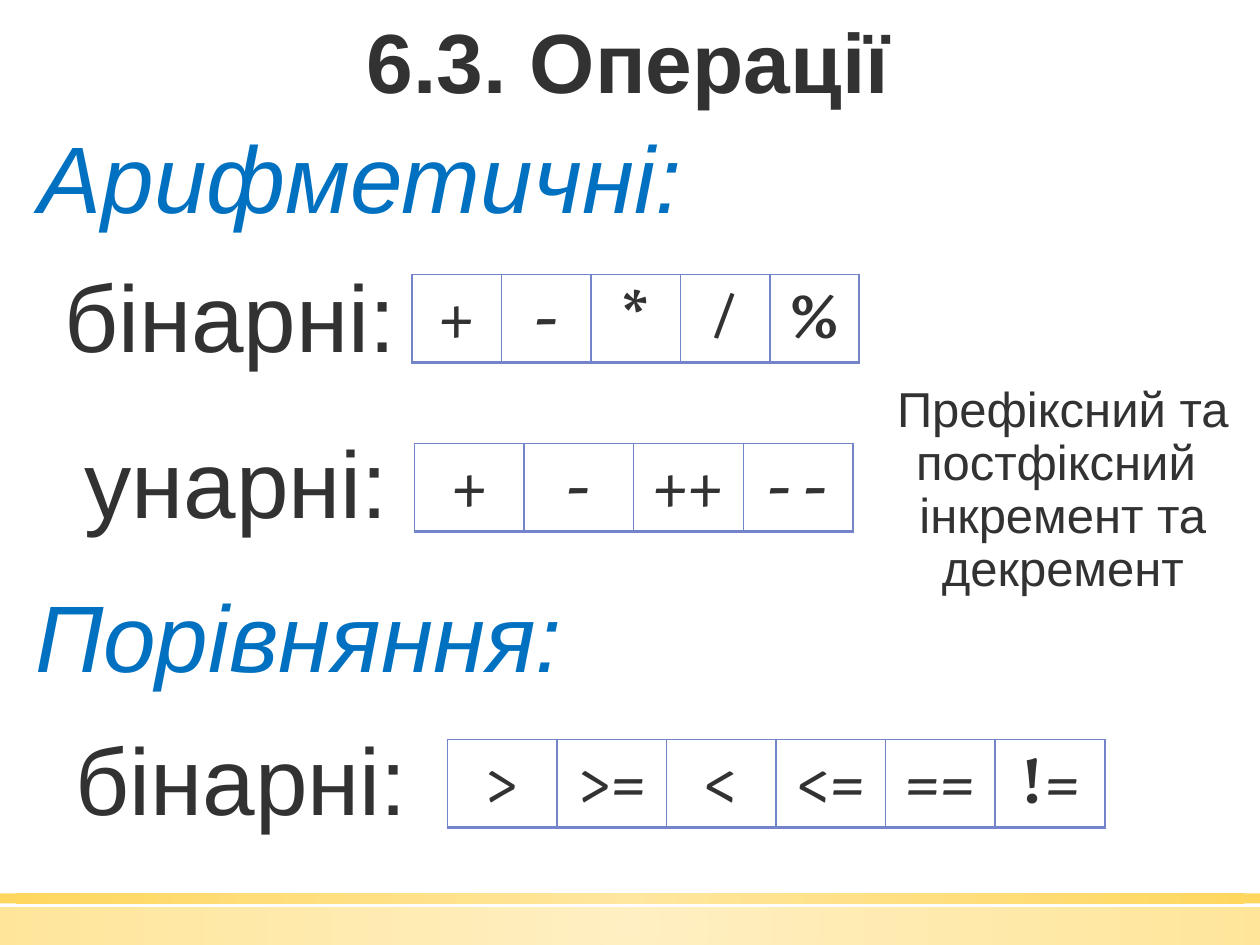
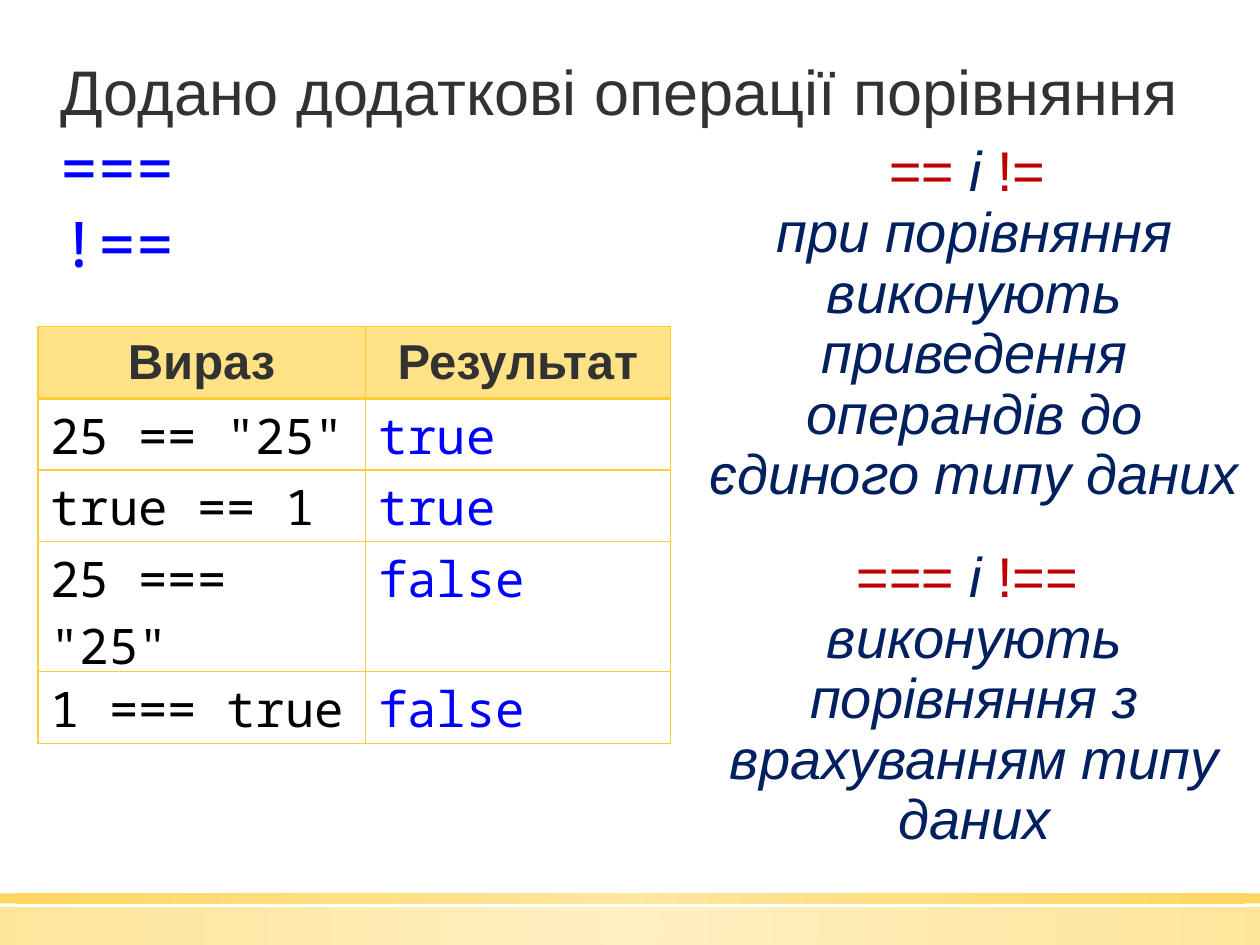
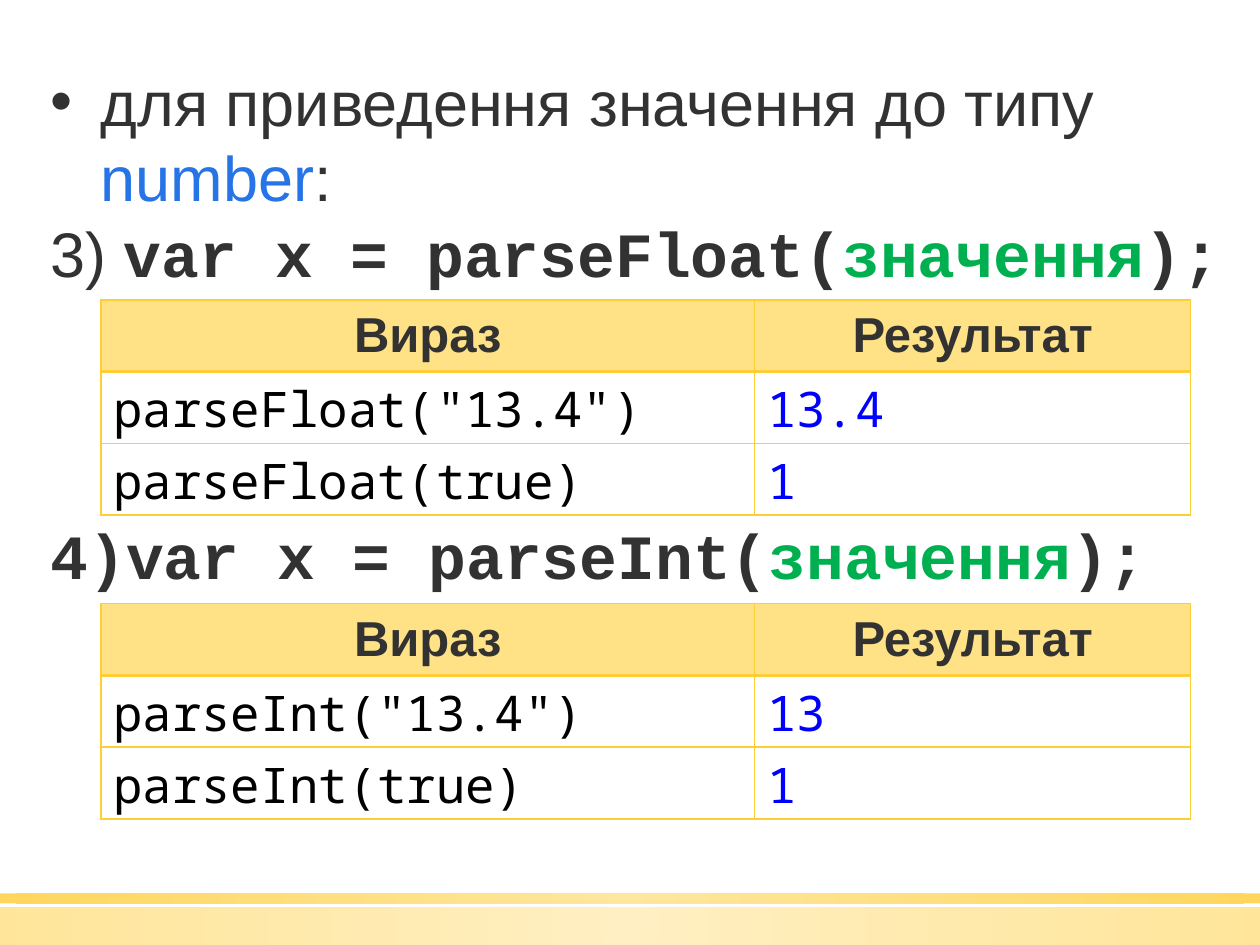
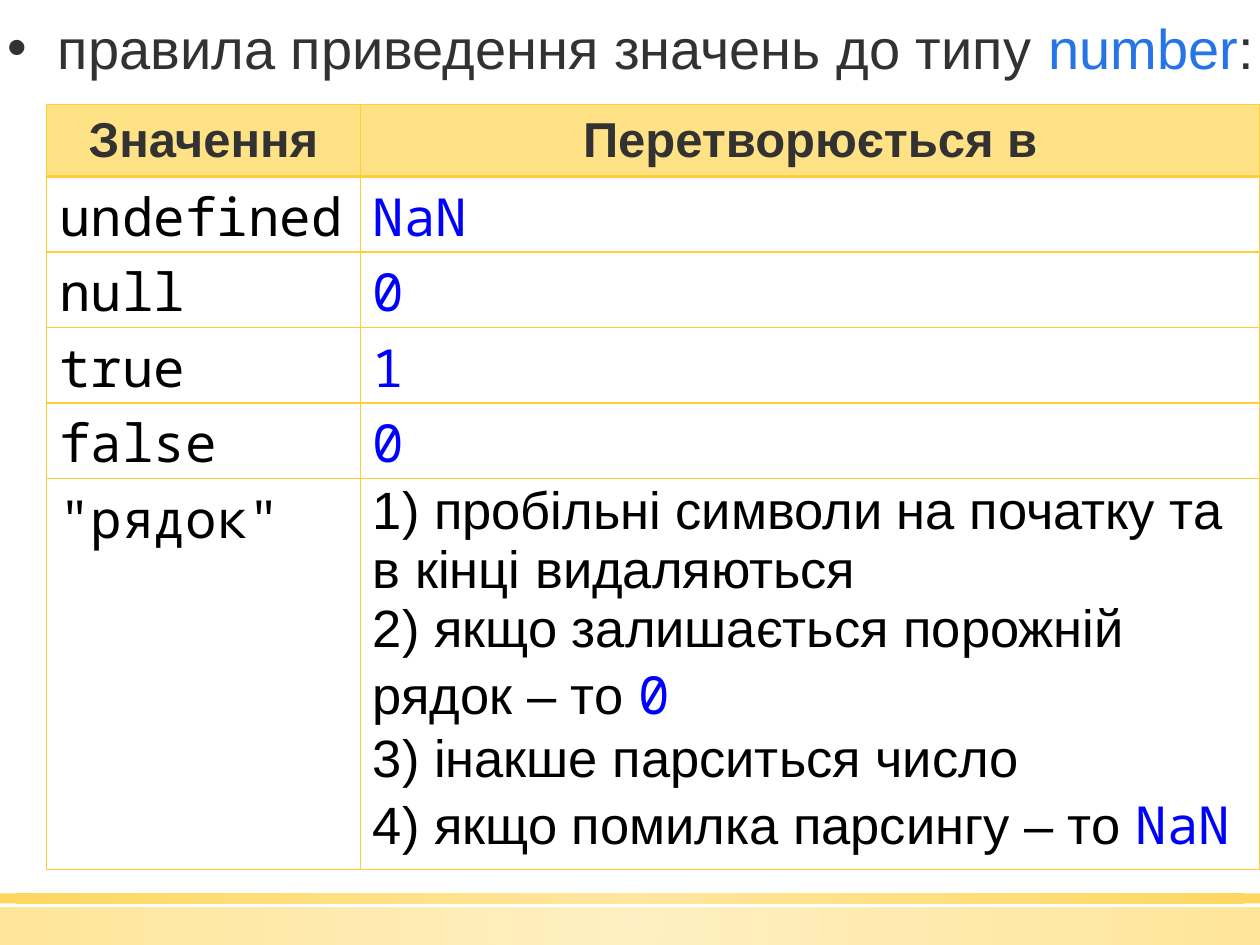
import pptx
import pptx.dml.color
import pptx.enum.shapes
import pptx.enum.text
import pptx.oxml
import pptx.oxml.ns
import pptx.util

Inches = pptx.util.Inches
Pt = pptx.util.Pt
ALIGN = pptx.enum.text.PP_ALIGN

COLOURS = {
    "ink": "323232", "black": "000000", "white": "FFFFFF", "heading": "0070C0",
    "value": "0000FF", "type": "2674E6", "argument": "00B050",
    "operator": "C00000", "note": "002060",
    "gold": "FFCD36", "pale gold": "FFE186", "grid": "7384CA",
}

# Run styles: font, colour, bold, italic
STYLES = {
    "text": ("Arial", "ink", False, False),
    "title": ("Arial", "ink", True, False),
    "heading": ("Arial", "heading", False, True),
    "type": ("Arial", "type", False, False),
    "code": ("Courier New", "ink", True, False),
    "argument": ("Courier New", "argument", True, False),
    "operator": ("Arial", "operator", False, True),
    "upright operator": ("Arial", "operator", False, False),
    "note": ("Arial", "note", False, True),
    "symbol": ("Vollkorn", "ink", True, False),
    "plain": ("Arial", "black", False, False),
    "expression": ("Noto Sans Mono", "black", False, False),
    "value": ("Noto Sans Mono", "value", False, False),
}

# Bands at the foot: top, height, opacity in percent
BANDS = [(7.2, 0.3, 50), (7.09, 0.08, 80)]

# Slide 1: labels (text, style, left, top, width) and operator rows
TITLE = "6.3. Операції"
LABELS = [
    ("Арифметичні:", "heading", 0.21, 1.07, 5.74),
    ("бінарні:", "text", 0.41, 2.17, 2.98),
    ("унарні:", "text", 0.57, 3.49, 2.98),
    ("Порівняння:", "heading", 0.18, 4.71, 5.74),
    ("бінарні:", "text", 0.5, 5.85, 2.98),
]
OPERATORS = [  # left, top, column width, symbols
    (3.27, 2.18, 0.71, ["+", "-", "*", "/", "%"]),
    (3.29, 3.52, 0.87, ["+", "-", "++", "- -"]),
    (3.55, 5.87, 0.87, [">", ">=", "<", "<=", "==", "!="]),
]
INCREMENT_NOTE = [
    [("Префіксний та постфіксний ", "text")],
    [("інкремент та декремент", "text")],
]

# Slide 2
COMPARISON = [
    [("Додано додаткові операції порівняння", "text")],
    [("===", "value")],
    [("!==", "value")],
]
COMPARISON_ROWS = [
    ('25 == "25"', "true"),
    ("true == 1", "true"),
    ('25 === "25"', "false"),
    ("1 === true", "false"),
]
COMPARISON_NOTES = [  # top, height, paragraphs
    (1.09, 3.01, [
        [("== ", "operator"), ("і ", "note"), ("!= ", "upright operator")],
        [("при порівняння виконують приведення операндів до єдиного типу даних", "note")],
    ]),
    (4.31, 2.52, [
        [("=== ", "operator"), ("і ", "note"), ("!== ", "upright operator")],
        [("виконують порівняння з врахуванням типу даних", "note")],
    ]),
]

# Slide 3
PARSING = [
    [("для приведення значення до типу ", "text"), ("number", "type"), (":", "text")],
    [("3) ", "text"), ("var x = parseFloat(", "code"), ("значення", "argument"), (");", "code")],
    [("4)var x = parseInt(", "code"), ("значення", "argument"), (");", "code")],
]
PARSING_TABLES = [  # top, rows
    (2.38, [('parseFloat("13.4")', "13.4"), ("parseFloat(true)", "1")]),
    (4.79, [('parseInt("13.4")', "13"), ("parseInt(true)", "1")]),
]

# Slide 4
RULES = [
    [("правила приведення значень до типу ", "text"), ("number", "type"), (":", "text")],
]
STRING_RULES = [
    [("1) пробільні символи на початку та в кінці видаляються", "plain")],
    [("2) якщо залишається порожній рядок – то ", "plain"), ("0", "value")],
    [("3) інакше парситься число", "plain")],
    [("4) якщо помилка парсингу – то ", "plain"), ("NaN", "value")],
]
RULE_ROWS = [
    ("undefined", "NaN"),
    ("null", "0"),
    ("true", "1"),
    ("false", "0"),
    ('"рядок"', STRING_RULES),
]
RESULT_HEADER = ("Вираз", "Результат")
RULE_HEADER = ("Значення", "Перетворюється в")


def rgb(name):
    return pptx.dml.color.RGBColor.from_string(COLOURS[name])


def write(frame, paragraphs, size, align=ALIGN.LEFT, spacing=None):
    """Fill a text frame with paragraphs made of (text, style) spans."""
    for number, spans in enumerate(paragraphs):
        para = frame.add_paragraph() if number else frame.paragraphs[0]
        para.alignment = align
        para.space_before = Pt(0)
        if spacing:
            para.line_spacing = spacing
        for text, style in spans:
            span = para.add_run()
            span.text = text
            font, colour, bold, italic = STYLES[style]
            span.font.name, span.font.size = font, Pt(size)
            span.font.bold, span.font.italic = bold, italic
            span.font.color.rgb = rgb(colour)


def place(shape, left, top, width, height):
    shape.left, shape.top = Inches(left), Inches(top)
    shape.width, shape.height = Inches(width), Inches(height)


def add_text(page, at, paragraphs, size, align=ALIGN.LEFT, spacing=None):
    box = page.shapes.add_textbox(*[Inches(length) for length in at])
    box.text_frame.word_wrap = True
    write(box.text_frame, paragraphs, size, align, spacing)


def add_body_page(deck, at, paragraphs, size, bulleted):
    """Add a slide without a title; bullet its first paragraph if asked."""
    page = deck.slides.add_slide(deck.slide_layouts[1])
    title = page.shapes.title.element
    title.getparent().remove(title)
    body = page.placeholders[1]
    place(body, *at)
    frame = body.text_frame
    frame.auto_size = pptx.enum.text.MSO_AUTO_SIZE.SHAPE_TO_FIT_TEXT
    write(frame, paragraphs, size, spacing=Pt(1.2 * size))
    for number, para in enumerate(frame.paragraphs):
        properties = para._p.get_or_add_pPr()
        bullet = bulleted and number == 0
        indent = Inches(0.4) if bullet else 0
        properties.set("marL", str(indent))
        properties.set("indent", str(-indent))
        tag = '<a:buChar %s char="•"/>' if bullet else "<a:buNone %s/>"
        properties.append(pptx.oxml.parse_xml(tag % pptx.oxml.ns.nsdecls("a")))
    return page


def border(cell, colour, top, bottom):
    """Draw the four sides of a cell; widths are in points."""
    properties = cell._tc.get_or_add_tcPr()
    for side, width in (("L", 1), ("R", 1), ("T", top), ("B", bottom)):
        properties.append(pptx.oxml.parse_xml(
            f'<a:ln{side} {pptx.oxml.ns.nsdecls("a")} w="{Pt(width)}"><a:solidFill>'
            f'<a:srgbClr val="{COLOURS[colour]}"/></a:solidFill></a:ln{side}>'))


def add_grid(page, left, top, widths, heights, line):
    """Add a table with a heavier rule under its first row."""
    table = page.shapes.add_table(
        len(heights), len(widths), Inches(left), Inches(top),
        Inches(sum(widths)), Inches(sum(heights))).table
    table.first_row = table.horz_banding = False
    for column, width in zip(table.columns, widths):
        column.width = Inches(width)
    for number, (row, height) in enumerate(zip(table.rows, heights)):
        row.height = Inches(height)
        for cell in row.cells:
            border(cell, line, 2 if number == 1 else 1, 2 if number == 0 else 1)
            cell.fill.solid()
            cell.fill.fore_color.rgb = rgb("white")
            cell.margin_top, cell.margin_bottom = Inches(0.03), 0
    return table


def add_result_table(page, left, top, widths, heights, header, rows, size=28):
    """Add a two-column table of expressions and their values."""
    table = add_grid(page, left, top, widths, heights, "gold")
    for cell, text in zip(table.rows[0].cells, header):
        cell.fill.fore_color.rgb = rgb("pale gold")
        cell.margin_top = cell.margin_bottom = Inches(0.05)
        cell.vertical_anchor = pptx.enum.text.MSO_ANCHOR.MIDDLE
        write(cell.text_frame, [[(text, "title")]], 28, ALIGN.CENTER)
    for number, (expression, value) in enumerate(rows, 1):
        if isinstance(value, str):
            value = [[(value, "value")]]
        write(table.cell(number, 0).text_frame, [[(expression, "expression")]], size)
        write(table.cell(number, 1).text_frame, value, size)


def add_bands(deck, page):
    """Draw the gold bands and move them to the slide master."""
    for number, (top, height, opacity) in enumerate(BANDS):
        band = page.shapes.add_shape(
            pptx.enum.shapes.MSO_SHAPE.RECTANGLE, 0, Inches(top),
            deck.slide_width, Inches(height))
        band.shadow.inherit = False
        band.line.fill.background()
        band.fill.solid()
        stops = "".join(
            f'<a:gs pos="{position}"><a:srgbClr val="{COLOURS[name]}">'
            f'<a:alpha val="{opacity * 1000}"/></a:srgbClr></a:gs>'
            for position, name in ((0, "pale gold"), (100000, "gold")))
        gradient = pptx.oxml.parse_xml(
            f'<a:gradFill {pptx.oxml.ns.nsdecls("a")}><a:gsLst>{stops}</a:gsLst>'
            '<a:path path="circle"><a:fillToRect l="50000" t="50000" r="50000" b="50000"/>'
            '</a:path></a:gradFill>')
        properties = band.element.spPr
        properties.replace(properties.find(pptx.oxml.ns.qn("a:solidFill")), gradient)
        band.element.nvSpPr.cNvPr.set("id", str(100 + number))
        deck.slide_master.shapes.element.insert(2 + number, band.element)


def build_operations(deck):
    page = deck.slides.add_slide(deck.slide_layouts[5])
    add_bands(deck, page)
    title = page.shapes.title
    place(title, 0.1, 0.02, 9.77, 0.91)
    write(title.text_frame, [[(TITLE, "title")]], 48, ALIGN.CENTER)
    for text, style, left, top, width in LABELS:
        add_text(page, (left, top, width, 0.83), [[(text, style)]], 54, spacing=0.8)
    for left, top, width, symbols in OPERATORS:
        table = add_grid(page, left, top, [width] * len(symbols), [0.7], "grid")
        for cell, symbol in zip(table.rows[0].cells, symbols):
            write(cell.text_frame, [[(symbol, "symbol")]], 36, ALIGN.CENTER)
    add_text(page, (6.66, 3.01, 3.55, 1.8), INCREMENT_NOTE, 28, ALIGN.CENTER, 0.9)


def build_comparison(deck):
    page = add_body_page(deck, (0.38, 0.37, 9.88, 1.92), COMPARISON, 36, bulleted=False)
    add_result_table(page, 0.3, 2.59, [2.6, 2.42], [0.57, 0.57, 0.57, 1.03, 0.57],
                     RESULT_HEADER, COMPARISON_ROWS)
    for top, height, paragraphs in COMPARISON_NOTES:
        add_text(page, (5.47, top, 4.53, height), paragraphs, 32, ALIGN.CENTER, 0.9)


def build_parsing(deck):
    page = add_body_page(deck, (0.3, 0.45, 9.88, 4.34), PARSING, 36, bulleted=True)
    # Room for the first table: three lines of text
    page.placeholders[1].text_frame.paragraphs[2].space_before = Pt(3 * 1.2 * 36)
    for top, rows in PARSING_TABLES:
        add_result_table(page, 0.8, top, [5.19, 3.46], [0.57] * 3, RESULT_HEADER, rows)


def build_rules(deck):
    page = add_body_page(deck, (-0.04, 0.06, 10.14, 1.25), RULES, 32, bulleted=True)
    add_result_table(page, 0.37, 0.83, [2.49, 7.14], [0.57] + [0.6] * 4 + [3.1],
                     RULE_HEADER, RULE_ROWS, 30)


def main():
    deck = pptx.Presentation()
    deck.slide_width, deck.slide_height = Inches(10), Inches(7.5)
    for build in (build_operations, build_comparison, build_parsing, build_rules):
        build(deck)
    deck.save("out.pptx")


if __name__ == "__main__":
    main()
